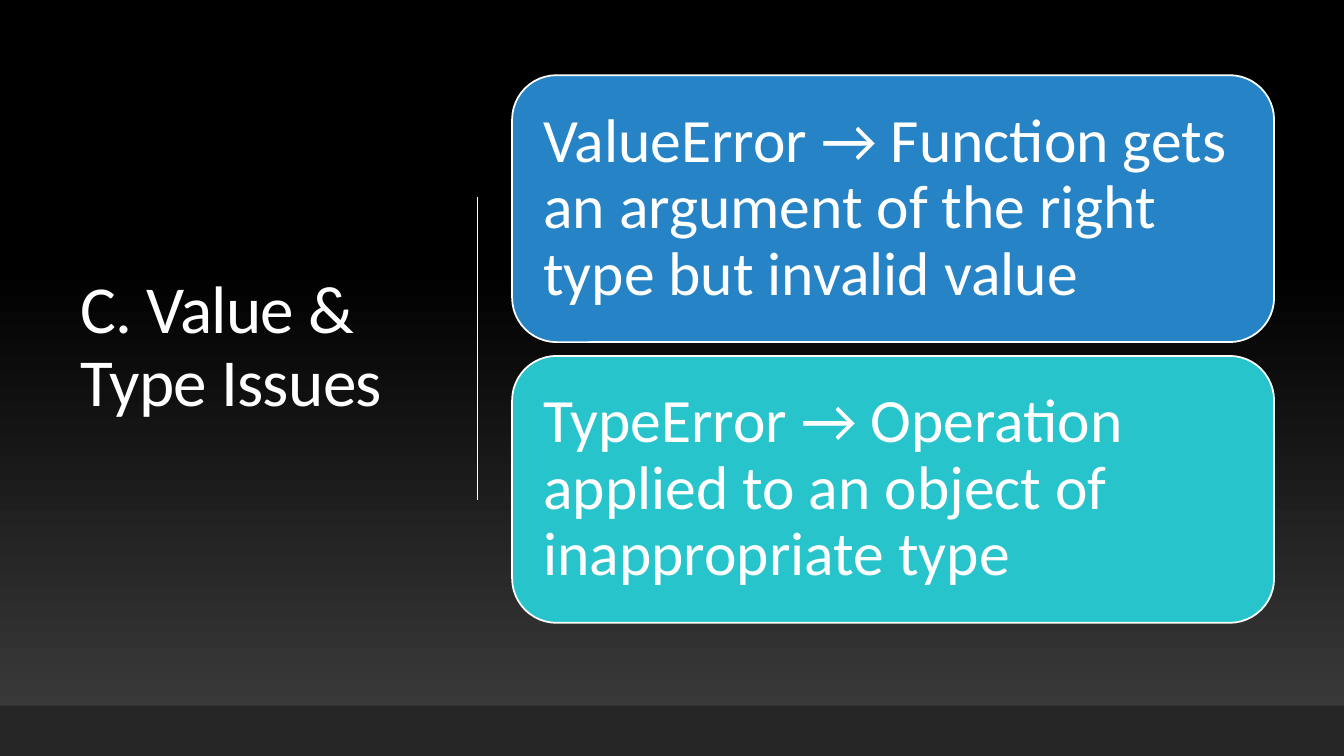
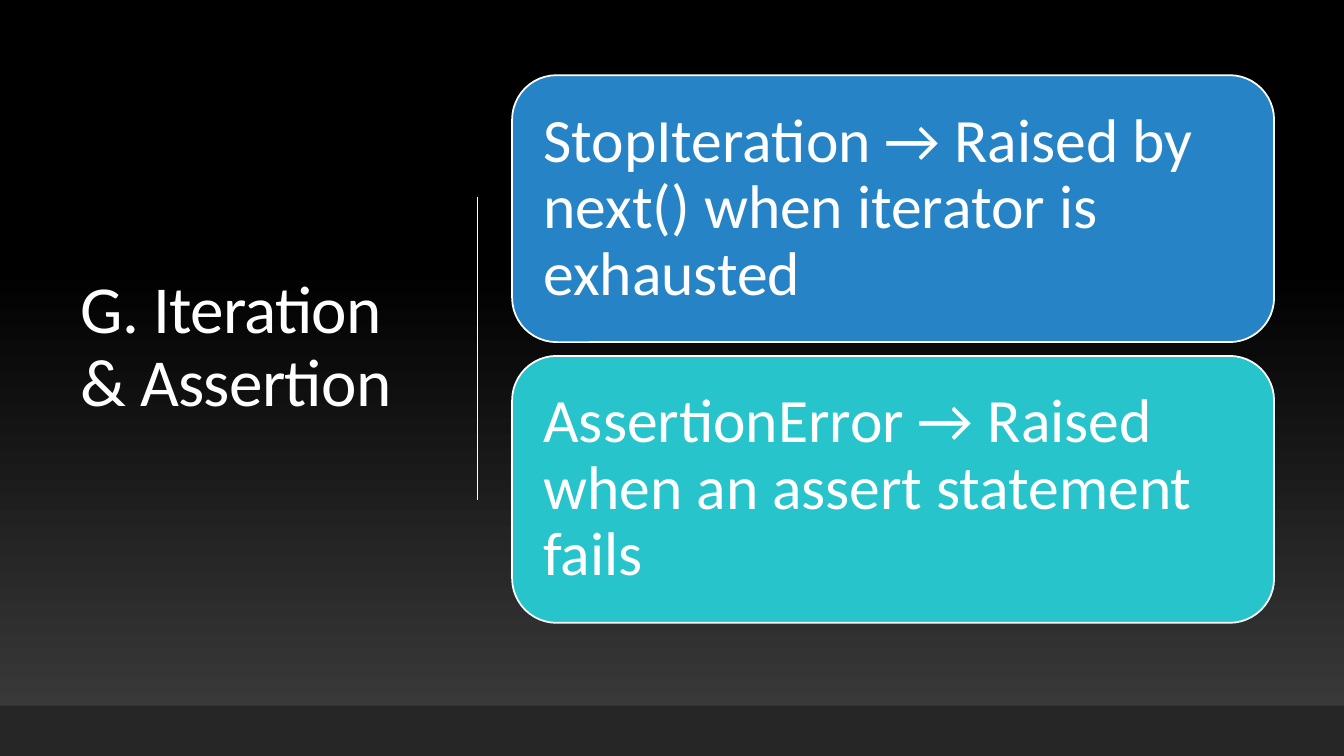
from pptx import Presentation
from pptx.dml.color import RGBColor
from pptx.enum.shapes import MSO_CONNECTOR as Connector, MSO_SHAPE as Shape
from pptx.enum.text import MSO_ANCHOR as Anchor, MSO_AUTO_SIZE as AutoSize, PP_ALIGN as Align
from pptx.oxml.ns import qn
from pptx.util import Pt
from lxml import etree

COLORS = {
    "black": "000000",
    "smoke": "3F3F3F",
    "band": "262626",
    "white": "FFFFFF",
    "blue": "2683C6",
    "teal": "28C4CC",
}
FONT = "Calibri"
WIDTH, HEIGHT = 960, 540
BAND_HEIGHT = 36
TITLE_BOX = (50.4, 49.7, 265.7, 398.2)
CARDS_BOX = (365.8, 53.7, 544.3, 391.2)
CARD_GAP = 9.8
DIVIDER = (341.3, 141, 357)  # x, top, bottom

SLIDES = [
    ("C. Value & Type Issues", [
        "ValueError → Function gets an argument of the right type but invalid value",
        "TypeError → Operation applied to an object of inappropriate type",
    ]),
    ("G. Iteration & Assertion", [
        "StopIteration → Raised by next() when iterator is exhausted",
        "AssertionError → Raised when an assert statement fails",
    ]),
]


def color(name):
    return RGBColor.from_string(COLORS[name])


def points(*values):
    return [Pt(value) for value in values]


def write(shape, text, size, inset=(7.2, 3.6), spacing=None):
    """Put one left-aligned white paragraph in the middle of a shape."""
    frame = shape.text_frame
    frame.word_wrap = True
    frame.auto_size = AutoSize.NONE
    frame.vertical_anchor = Anchor.MIDDLE
    frame.margin_left = frame.margin_right = Pt(inset[0])
    frame.margin_top = frame.margin_bottom = Pt(inset[1])
    para = frame.paragraphs[0]
    para.alignment = Align.LEFT
    para.line_spacing = 0.9
    span = para.add_run()
    span.text = text
    span.font.name = FONT
    span.font.size = Pt(size)
    span.font.color.rgb = color("white")
    if spacing is not None:
        span.font._element.set("spc", str(round(spacing * 100)))


def add_block(page, kind, box, fill, outline=None):
    block = page.shapes.add_shape(kind, *points(*box))
    block.shadow.inherit = False
    block.fill.solid()
    block.fill.fore_color.rgb = color(fill)
    if outline:
        block.line.color.rgb = color(outline)
        block.line.width = Pt(1.25)
    else:
        block.line.fill.background()
    return block


def set_background(master):
    """Fade from smoke at the bottom to black at 65 % of the height."""
    fill = master.background.fill
    fill.gradient()
    fill.gradient_angle = 90
    for stop, (position, name) in zip(fill.gradient_stops, [(0, "smoke"), (0.65, "black")]):
        stop.position = position
        stop.color.rgb = color(name)


def add_title(page, box, text):
    title = page.shapes.title
    title.left, title.top, title.width, title.height = points(*box)
    write(title, text, 48, spacing=-0.5)


def add_divider(page, x, top, bottom):
    divider = page.shapes.add_connector(Connector.STRAIGHT, *points(x, top, x, bottom))
    divider.line.color.rgb = color("white")
    divider.line.width = Pt(1)
    etree.SubElement(divider._element.spPr, qn("a:effectLst"))


def add_cards(page, box, texts):
    """Stack equal cards in the box, one for each text."""
    left, top, width, height = box
    card_height = (height - CARD_GAP * (len(texts) - 1)) / len(texts)
    for index, (text, fill) in enumerate(zip(texts, ("blue", "teal"))):
        card_top = top + index * (card_height + CARD_GAP)
        card = add_block(page, Shape.ROUNDED_RECTANGLE,
                         (left, card_top, width, card_height), fill, "white")
        write(card, text, 44, inset=(13, 13))


def add_topic_slide(deck, title, texts):
    page = deck.slides.add_slide(deck.slide_layouts.get_by_name("Title Only"))
    add_title(page, TITLE_BOX, title)
    add_divider(page, *DIVIDER)
    # Bottom band
    add_block(page, Shape.RECTANGLE, (0, HEIGHT - BAND_HEIGHT, WIDTH, BAND_HEIGHT), "band")
    add_cards(page, CARDS_BOX, texts)


def main():
    deck = Presentation()
    deck.slide_width, deck.slide_height = points(WIDTH, HEIGHT)
    set_background(deck.slide_master)
    for title, texts in SLIDES:
        add_topic_slide(deck, title, texts)
    deck.save("out.pptx")


if __name__ == "__main__":
    main()
